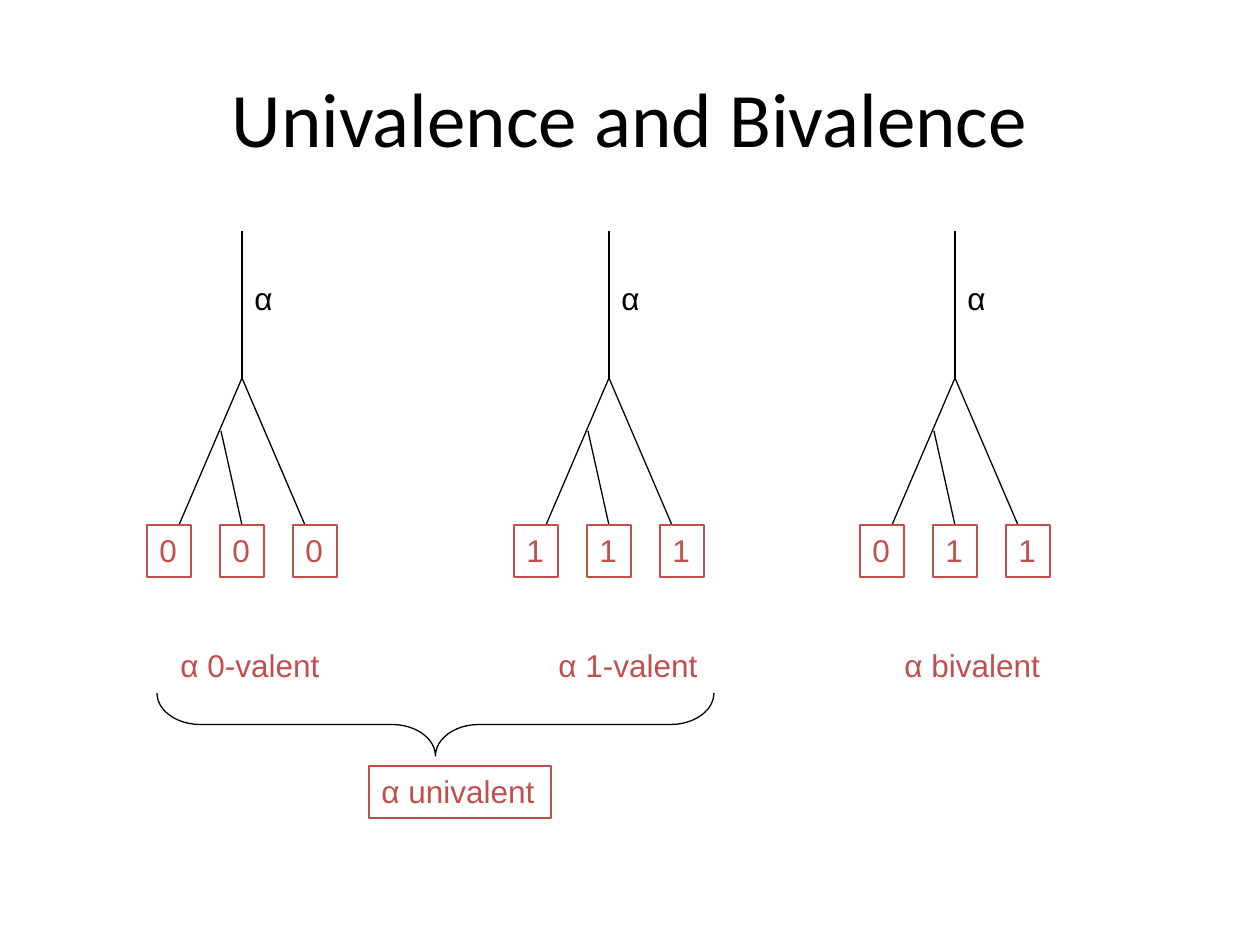
"""Build a slide on univalent and bivalent execution trees."""
from lxml.etree import SubElement
from pptx import Presentation
from pptx.dml.color import RGBColor as Rgb
from pptx.enum.shapes import MSO_CONNECTOR as Link, MSO_SHAPE as Kind
from pptx.enum.text import MSO_ANCHOR as Anchor, MSO_AUTO_SIZE as Fit, PP_ALIGN as Align
from pptx.oxml.ns import qn
from pptx.util import Pt

SCALE = 914400 / 126
COLORS = {"ink": "000000", "red": "C0504D"}
TOP, FORK, LEAF = 231, 378, 525
TREES = [
    (242, "000", "α 0-valent", 168),
    (609, "111", "α 1-valent", 546),
    (955, "011", "α bivalent", 892),
]


def px(*vals):
    """Turn pixel lengths into EMU."""
    return [round(val * SCALE) for val in vals]


def tint(name):
    """Look up a colour by name."""
    return Rgb.from_string(COLORS[name])


def stroke(line, name):
    """Give a line its colour and thin width."""
    line.color.rgb = tint(name)
    line.width = Pt(0.75)


def write(shape, text, color, size=18, font="Arial", align=Align.LEFT, anchor=Anchor.TOP, wrap=False):
    """Fill a shape with one styled paragraph."""
    frame = shape.text_frame
    frame.word_wrap = wrap
    frame.auto_size = Fit.NONE if wrap else Fit.SHAPE_TO_FIT_TEXT
    frame.vertical_anchor = anchor
    para = frame.paragraphs[0]
    para.text = text
    para.alignment = align
    para.font.size = Pt(size)
    para.font.name = font
    para.font.color.rgb = tint(color)


def label(shapes, text, box, color, **style):
    """Add a plain text box."""
    write(shapes.add_textbox(*px(*box)), text, color, **style)


def outline(shapes, kind, box, color):
    """Add an unfilled preset shape."""
    shape = shapes.add_shape(kind, *px(*box))
    shape.shadow.inherit = False
    shape.fill.background()
    stroke(shape.line, color)
    return shape


def frame(shapes, text, box):
    """Add a red framed text."""
    shape = outline(shapes, Kind.RECTANGLE, box, "red")
    write(shape, text, "red")
    return shape


def edge(shapes, start, end):
    """Add a straight black line."""
    line = shapes.add_connector(Link.STRAIGHT, *px(*start, *end))
    stroke(line.line, "ink")
    SubElement(line._element.spPr, qn("a:effectLst"))
    return line


def tree(shapes, mid, bits):
    """Add a tree with a stem, branches and three leaf values."""
    fork = (mid, FORK)
    edge(shapes, (mid, TOP), fork)
    for side in (63, -63):
        edge(shapes, fork, (mid + side, LEAF))
    label(shapes, "α", (mid, 273, 45, 50), "ink")
    twig = edge(shapes, (mid - 21, 431), (mid, LEAF))
    leaves = [frame(shapes, bit, (mid - 95 + 73 * i, LEAF, 44, 52)) for i, bit in enumerate(bits)]
    twig.end_connect(leaves[1], 0)


def brace(shapes):
    """Add a brace that opens upward."""
    shape = outline(shapes, Kind.LEFT_BRACE, (404, 446, 63, 557), "ink")
    shape.rotation = 270
    shape.adjustments[0] = 0.69


def main():
    """Build and save the slide."""
    deck = Presentation()
    deck.slide_width, deck.slide_height = px(1260, 945)
    shapes = deck.slides.add_slide(deck.slide_layouts[6]).shapes
    label(shapes, "Univalence and Bivalence", (63, 38, 1134, 157), "ink", size=44,
          font="Calibri", align=Align.CENTER, anchor=Anchor.MIDDLE, wrap=True)
    for mid, bits, name, left in TREES:
        label(shapes, name, (left, 640, 166, 50), "red")
        tree(shapes.add_group_shape().shapes, mid, bits)
    group = shapes.add_group_shape().shapes
    frame(group, "α univalent", (369, 766, 182, 52))
    brace(group)
    deck.save("out.pptx")


if __name__ == "__main__":
    main()
